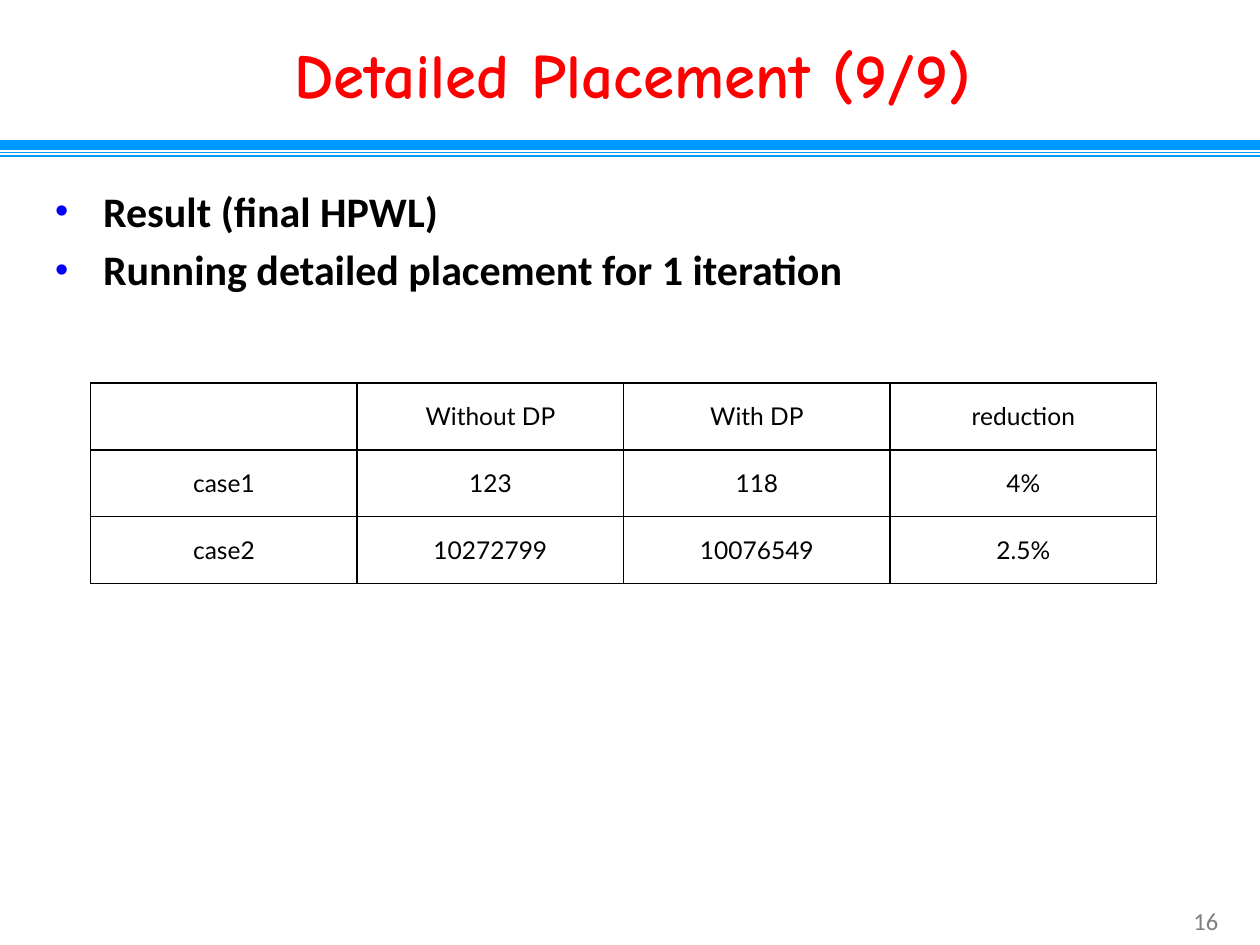
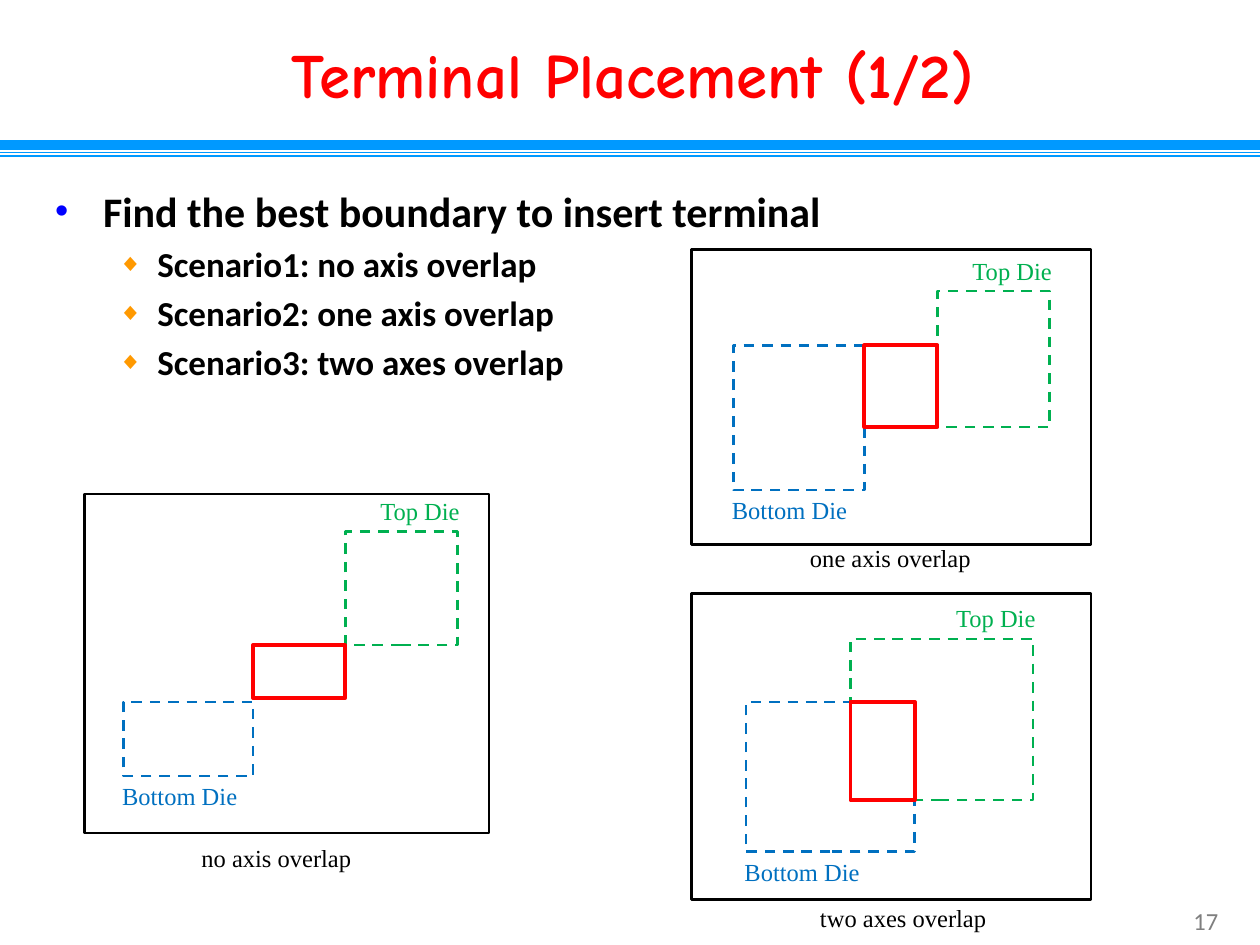
from dataclasses import dataclass

from lxml import etree
from pptx import Presentation
from pptx.dml.color import RGBColor
from pptx.enum.dml import MSO_LINE
from pptx.enum.shapes import MSO_CONNECTOR, MSO_SHAPE
from pptx.enum.text import MSO_ANCHOR, PP_ALIGN
from pptx.oxml.ns import qn
from pptx.util import Inches, Pt

LEFT, CENTER = PP_ALIGN.LEFT, PP_ALIGN.CENTER
MIDDLE = MSO_ANCHOR.MIDDLE
DASH = MSO_LINE.DASH
RECT = MSO_SHAPE.RECTANGLE
STRAIGHT = MSO_CONNECTOR.STRAIGHT


@dataclass(frozen=True)
class Theme:
    black: str = "000000"
    red: str = "FF0000"
    band: str = "0099FF"
    gray: str = "7F7F7F"
    blue: str = "0070C0"
    green: str = "00B050"
    title: tuple = ("Comic Neue", 36)
    small: tuple = ("Calibri", 14)
    cell: tuple = ("Lato", 14)
    label: tuple = ("Times New Roman", 14)
    # per level: type, bullet, bullet colour, bullet percent, left, hanging
    levels: tuple = (
        (("Calibri", 24), "•", "0000FF", 90, 0.38, 0.38),
        (("Calibri", 20), "◆", "FF9900", 70, 0.81, 0.31),
    )


THEME = Theme()


def inches(*values):
    return [Inches(round(v, 2)) for v in values]


def set_all(target, values):
    for name, value in values.items():
        setattr(target, name, value)


def add_sub(parent, tag, **values):
    node = etree.SubElement(parent, qn(tag))
    for name, value in values.items():
        node.set(name, str(value))
    return node


def write(para, text, kind, color, bold=False, align=LEFT):
    para.alignment = align
    run = para.add_run()
    run.text = text
    face, size = kind
    set_all(run.font, {"name": face, "size": Pt(size), "bold": bold})
    run.font.color.rgb = RGBColor.from_string(color)


def add_text(slide, box, wrap=True, **frame):
    """Add an empty text box and return its text frame."""
    text = slide.shapes.add_textbox(*inches(*box)).text_frame
    set_all(text, {"word_wrap": wrap, **frame})
    return text


def add_label(slide, box, text, color):
    frame = add_text(slide, box, wrap=False)
    write(frame.paragraphs[0], text, THEME.label, color)


def add_rect(slide, box, color, width, dash=None):
    shape = slide.shapes.add_shape(RECT, *inches(*box))
    shape.shadow.inherit = False
    shape.fill.background()
    set_all(shape.line, {"width": Pt(width), "dash_style": dash})
    shape.line.color.rgb = RGBColor.from_string(color)


def add_band(slide):
    for y, width in ((1.15, 6), (1.21, 1), (1.24, 1)):
        rule = slide.shapes.add_connector(STRAIGHT, *inches(-0.01, y, 10, y))
        rule.line.width = Pt(width)
        rule.line.color.rgb = RGBColor.from_string(THEME.band)
        add_sub(rule._element.spPr, "a:effectLst")


def add_base(deck, title, number):
    """Add a slide with the shared band, page number and title."""
    slide = deck.slides.add_slide(deck.slide_layouts[6])
    add_band(slide)
    page = add_text(slide, (9.16, 7.14, 0.82, 0.34))
    write(page.paragraphs[0], str(number), THEME.small, THEME.gray, align=CENTER)
    edges = dict.fromkeys(
        ("margin_left", "margin_right", "margin_top", "margin_bottom"), 0)
    head = add_text(slide, (0.33, 0.25, 9.38, 0.67),
                    vertical_anchor=MIDDLE, **edges)
    write(head.paragraphs[0], title, THEME.title, THEME.red, True, CENTER)
    return slide


def add_list(slide, box, items):
    """Fill box with bullets; items are (level, text) pairs."""
    frame = add_text(slide, box)
    for i, (level, text) in enumerate(items):
        para = frame.add_paragraph() if i else frame.paragraphs[0]
        kind, mark, color, scale, left, hang = THEME.levels[level]
        set_all(para, {"level": level, "space_before": Pt(kind[1] * 0.2)})
        write(para, text, kind, THEME.black, bold=True)
        props = para._p.get_or_add_pPr()
        props.set("marL", str(Inches(left)))
        props.set("indent", str(-Inches(hang)))
        add_sub(add_sub(props, "a:buClr"), "a:srgbClr", val=color)
        add_sub(props, "a:buSzPct", val=scale * 1000)
        add_sub(props, "a:buFont", typeface="Arial")
        add_sub(props, "a:buChar", char=mark)


def add_edges(cell):
    props = cell._tc.get_or_add_tcPr()
    for i, side in enumerate("LRTB"):
        line = add_sub(props, f"a:ln{side}", w=Pt(1))
        fill = add_sub(line, "a:solidFill")
        add_sub(fill, "a:srgbClr", val=THEME.black)
        props.insert(i, line)


def add_grid(slide, box, rows):
    """Add a table of equal cells that fills box."""
    shape = slide.shapes.add_table(len(rows), len(rows[0]), *inches(*box))
    table = shape.table
    set_all(table, {"first_row": False, "horz_banding": False})
    for r, row in enumerate(rows):
        for c, text in enumerate(row):
            cell = table.cell(r, c)
            cell.vertical_anchor = MIDDLE
            cell.fill.background()
            add_edges(cell)
            if text:
                write(cell.text_frame.paragraphs[0], text, THEME.cell,
                      THEME.black, align=CENTER)


def middle(start, size, start2, size2):
    """Return the inner two of the four edges of two spans."""
    return sorted((start, start + size, start2, start2 + size2))[1:3]


def add_panel(slide, box, low, high, note, place, trim=0):
    """Draw two dies and the terminal region between them.

    low and high are die boxes relative to box; place gives the note's
    shift from the panel's bottom centre, and its width.
    """
    x, y, width, height = box
    add_rect(slide, box, THEME.black, 1.5)
    lx, ly, lw, lh = low = (x + low[0], y + low[1], *low[2:])
    hx, hy, hw, hh = high = (x + high[0], y + high[1], *high[2:])
    add_rect(slide, low, THEME.blue, 1.5, DASH)
    add_rect(slide, high, THEME.green, 1.5, DASH)
    add_label(slide, (hx + hw - 0.71, hy - 0.33, 0.84, 0.34),
              "Top Die", THEME.green)
    add_label(slide, (lx - 0.11, ly + lh - 0.01, 1.12, 0.34),
              "Bottom Die", THEME.blue)
    left, right = middle(lx, lw, hx, hw)
    top, bottom = middle(ly, lh, hy, hh)
    add_rect(slide, (left, top, right - left, bottom - top - trim),
             THEME.red, 2.25)
    dx, dy, wide = place
    add_label(slide, (x + (width - wide) / 2 + dx, y + height + dy, wide, 0.34),
              note, THEME.black)


def add_result(deck):
    slide = add_base(deck, "Detailed Placement (9/9)", 16)
    add_list(slide, (0.34, 1.42, 9.37, 1.12), [
        (0, "Result (final HPWL)"),
        (0, "Running detailed placement for 1 iteration"),
    ])
    add_grid(slide, (0.72, 3.04, 8.46, 1.59), [
        ("", "Without DP", "With DP", "reduction"),
        ("case1", "123", "118", "4%"),
        ("case2", "10272799", "10076549", "2.5%"),
    ])


def add_cases(deck):
    slide = add_base(deck, "Terminal Placement (1/2)", 17)
    add_list(slide, (0.34, 1.42, 9.37, 5.69), [
        (0, "Find the best boundary to insert terminal"),
        (1, "Scenario1: no axis overlap"),
        (1, "Scenario2: one axis overlap"),
        (1, "Scenario3: two axes overlap"),
    ])
    add_panel(slide, (0.67, 3.92, 3.21, 2.69), (0.31, 1.65, 1.03, 0.59),
              (2.07, 0.3, 0.89, 0.9), "no axis overlap",
              (-0.08, 0.03, 1.4), trim=0.03)
    add_panel(slide, (5.49, 1.98, 3.17, 2.34), (0.33, 0.76, 1.04, 1.15),
              (1.95, 0.33, 0.89, 1.08), "one axis overlap",
              (0, -0.06, 1.49))
    add_panel(slide, (5.49, 4.71, 3.17, 2.43), (0.43, 0.86, 1.34, 1.19),
              (1.26, 0.36, 1.45, 1.28), "two axes overlap",
              (0.1, -0.02, 1.53))


def main():
    deck = Presentation()
    set_all(deck, {"slide_width": Inches(10), "slide_height": Inches(7.5)})
    add_result(deck)
    add_cases(deck)
    deck.save("out.pptx")


if __name__ == "__main__":
    main()
